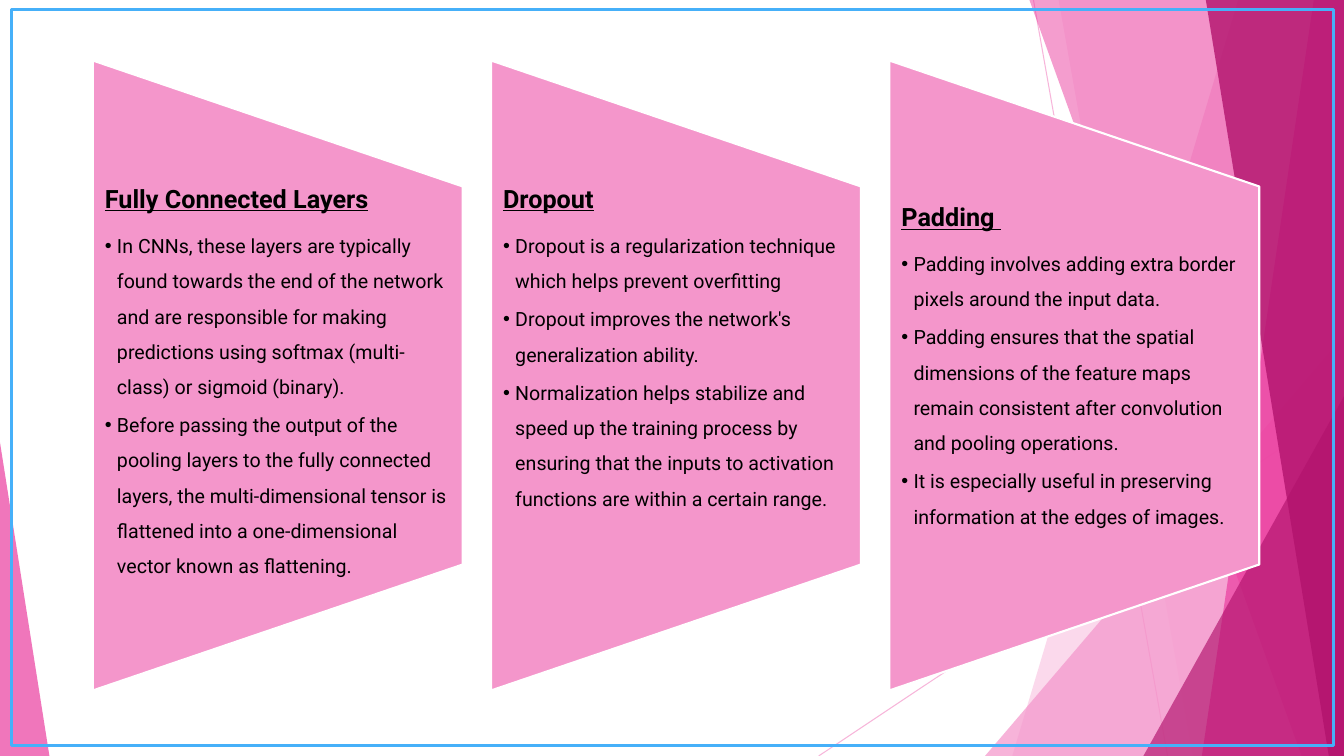
from lxml.etree import SubElement
from pptx import Presentation
from pptx.dml.color import RGBColor
from pptx.enum.shapes import MSO_CONNECTOR, MSO_SHAPE as SHAPE
from pptx.enum.text import MSO_ANCHOR, MSO_AUTO_SIZE, PP_ALIGN
from pptx.oxml.ns import qn
from pptx.util import Pt

PX = 9144  # 100 px to the inch
WIDTH, HEIGHT = 1333, 750
PINK = RGBColor(0xF4, 0x96, 0xCB)
MAGENTA = RGBColor(0xEB, 0x3D, 0x9F)
PLUM = RGBColor(0xB2, 0x13, 0x6D)
BLUE = RGBColor(0x46, 0xB0, 0xF9)
WHITE = RGBColor(0xFF, 0xFF, 0xFF)
BLACK = RGBColor(0, 0, 0)

COLUMNS = [
    ("Fully Connected Layers", 0.9, [
        "In CNNs, these layers are typically found towards the end of the network and are "
        "responsible for making predictions using softmax (multi-class) or sigmoid (binary).",
        "Before passing the output of the pooling layers to the fully connected layers, the "
        "multi-dimensional tensor is flattened into a one-dimensional vector known as flattening.",
    ]),
    ("Dropout", 0.9, [
        "Dropout is a regularization technique which helps prevent overfitting",
        "Dropout improves the network's generalization ability.",
        "Normalization helps stabilize and speed up the training process by ensuring that the "
        "inputs to activation functions are within a certain range.",
    ]),
    ("Padding ", 1.5, [
        "Padding involves adding extra border pixels around the input data.",
        "Padding ensures that the spatial dimensions of the feature maps remain consistent "
        "after convolution and pooling operations.",
        "It is especially useful in preserving information at the edges of images.",
    ]),
]

# Facets from back to front: corner points, or a triangle's box and apex position
FACETS = [
    ([(1228, 0), (WIDTH, 0), (WIDTH, HEIGHT), (1004, HEIGHT)], None, PINK, 36),
    ([(1050, 0), (WIDTH, 0), (WIDTH, HEIGHT), (1183, HEIGHT)], None, PINK, 20),
    ((977, 333, 356, 417), 1, PINK, 72),
    ([(1021, 0), (WIDTH, 0), (WIDTH, HEIGHT), (1291, HEIGHT)], None, MAGENTA, 50),
    ([(1303, 0), (WIDTH, 0), (WIDTH, HEIGHT), (1192, HEIGHT)], None, MAGENTA, 70),
    ([(1196, 0), (WIDTH, 0), (WIDTH, HEIGHT), (1318, HEIGHT)], None, PLUM, 80),
    ((1134, 393, 199, 357), 1, PLUM, 66),
    ((0, 439, 49, 311), 0, MAGENTA, 70),
]
RAYS = [(1025, 0, 1158, HEIGHT), (WIDTH, 403, 812, HEIGHT)]

COLUMN_LEFT, COLUMN_PITCH, COLUMN_WIDTH = 92, 395, 367
PANEL_TOP, PANEL_LENGTH = 189, 625
TEXT_TOP, TEXT_HEIGHT = 185, 375
BULLET_INDENT = 12

FRAME_FORMAT = {
    "word_wrap": True, "auto_size": MSO_AUTO_SIZE.NONE, "vertical_anchor": MSO_ANCHOR.TOP,
    "margin_left": 12 * PX, "margin_right": 13 * PX, "margin_top": 0, "margin_bottom": 0,
}
HEADING_FONT = {"name": "Roboto", "size": Pt(18), "bold": True, "underline": True}
ITEM_FONT = {"name": "Roboto", "size": Pt(14), "bold": False, "underline": False}


def set_opacity(fill_element, percent):
    color = fill_element.find(".//" + qn("a:srgbClr"))
    SubElement(color, qn("a:alpha")).set("val", str(percent * 1000))


def apply_format(target, values):
    for attribute, value in values.items():
        setattr(target, attribute, value)


deck = Presentation()
deck.slide_width, deck.slide_height = WIDTH * PX, HEIGHT * PX
slide = deck.slides.add_slide(deck.slide_layouts.get_by_name("Comparison"))
shapes = slide.shapes
spare, *text_holders = list(slide.placeholders)
text_holders, unused = text_holders[:len(COLUMNS)], [spare, *text_holders[len(COLUMNS):]]
for holder in unused:
    holder.element.getparent().remove(holder.element)

# Faceted backdrop
for ends in RAYS:
    ray = shapes.add_connector(MSO_CONNECTOR.STRAIGHT, *(end * PX for end in ends))
    ray.line.color.rgb = PINK
    ray.line.width = Pt(0.75)
    set_opacity(ray.element.spPr, 70)
    SubElement(ray.element.spPr, qn("a:effectLst"))

for outline, apex, color, opacity in FACETS:
    if apex is None:
        builder = shapes.build_freeform(*outline[0], scale=PX)
        builder.add_line_segments(outline[1:], close=True)
        facet = builder.convert_to_shape()
    else:
        facet = shapes.add_shape(SHAPE.ISOSCELES_TRIANGLE, *(length * PX for length in outline))
        facet.adjustments[0] = apex
    facet.shadow.inherit = False
    facet.fill.solid()
    facet.fill.fore_color.rgb = color
    set_opacity(facet.element.spPr, opacity)
    facet.line.fill.background()

border = shapes.add_shape(SHAPE.RECTANGLE, 11 * PX, 9 * PX, 1312 * PX, 731 * PX)
border.shadow.inherit = False
border.fill.background()
border.line.color.rgb = BLUE
border.line.width = Pt(2.25)

# Three panels with their headed lists
for index, (holder, (heading, heading_spacing, items)) in enumerate(zip(text_holders, COLUMNS)):
    left = COLUMN_LEFT + index * COLUMN_PITCH
    panel_left = left + (COLUMN_WIDTH - PANEL_LENGTH) // 2
    panel = shapes.add_shape(SHAPE.FLOWCHART_MANUAL_OPERATION, panel_left * PX, PANEL_TOP * PX,
                             PANEL_LENGTH * PX, COLUMN_WIDTH * PX)
    panel.rotation = 270
    panel.shadow.inherit = False
    panel.fill.solid()
    panel.fill.fore_color.rgb = PINK
    panel.line.color.rgb = WHITE
    panel.line.width = Pt(1.5)

    apply_format(holder, {"left": left * PX, "top": TEXT_TOP * PX,
                          "width": COLUMN_WIDTH * PX, "height": TEXT_HEIGHT * PX})
    panel.element.addnext(holder.element)
    frame = holder.text_frame
    apply_format(frame, FRAME_FORMAT)
    for row, text in enumerate([heading, *items]):
        paragraph = frame.add_paragraph() if row else frame.paragraphs[0]
        properties = paragraph._p.get_or_add_pPr()
        indent = BULLET_INDENT * PX if row else 0
        properties.set("marL", str(indent))
        properties.set("indent", str(-indent))
        if row:
            SubElement(properties, qn("a:buChar")).set("char", "•")
        else:
            SubElement(properties, qn("a:buNone"))
        apply_format(paragraph, {
            "level": 1 if row else 0, "alignment": PP_ALIGN.LEFT, "space_before": Pt(0),
            "space_after": Pt(2 if row else 6), "line_spacing": 1.5 if row else heading_spacing,
        })
        run = paragraph.add_run()
        run.text = text
        apply_format(run.font, ITEM_FONT if row else HEADING_FONT)
        run.font.color.rgb = BLACK

deck.save("out.pptx")
